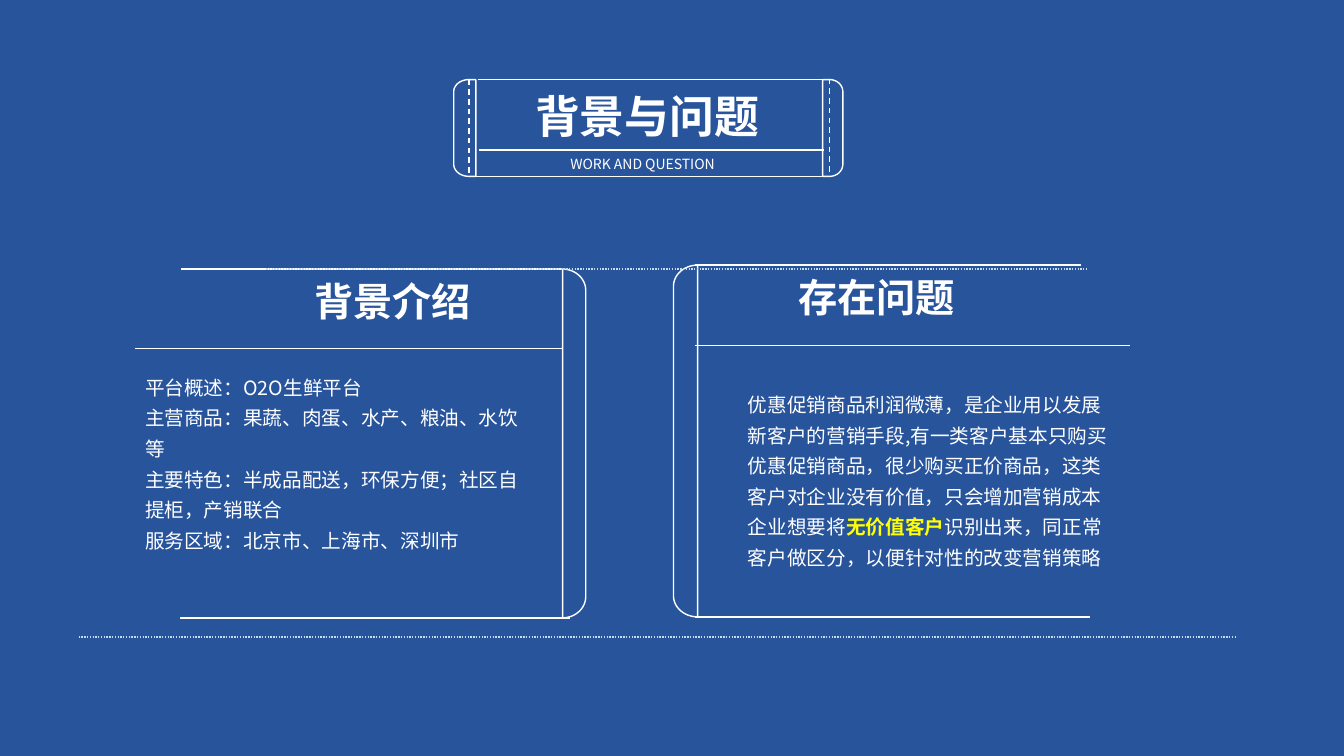
from dataclasses import dataclass
from math import cos, pi, sin

from lxml.etree import SubElement
from pptx import Presentation
from pptx.dml.color import RGBColor as Rgb
from pptx.enum.dml import MSO_LINE_DASH_STYLE as Dash
from pptx.enum.shapes import MSO_CONNECTOR_TYPE as Connector
from pptx.enum.text import MSO_AUTO_SIZE as AutoSize
from pptx.oxml.ns import qn
from pptx.slide import Slide
from pptx.util import Inches, Pt

COLORS = {"blue": "28549C", "white": "FFFFFF", "pale": "C6DCF0", "yellow": "FFFF00"}
FONT = "Noto Sans CJK SC"


@dataclass(frozen=True)
class Rule:
    x1: float
    x2: float
    y1: float
    y2: float
    color: str = "white"
    dash: Dash | None = None


@dataclass(frozen=True)
class ScrollEnd:
    outer: float
    shoulder: float
    inner: float
    top: float
    bottom: float
    drop: float


@dataclass(frozen=True)
class Span:
    text: str
    color: str = "white"
    bold: bool = False


@dataclass(frozen=True)
class Panel:
    heading: str
    heading_box: tuple[float, float, float, float]
    body: tuple[tuple[Span, ...], ...]
    body_box: tuple[float, float, float, float]
    rules: tuple[Rule, ...]
    end: ScrollEnd


PANELS = (
    Panel(
        "背景介绍", (3.02, 2.7, 1.93, 0.57),
        (
            (Span("平台概述：O2O生鲜平台"),),
            (Span("主营商品：果蔬、肉蛋、水产、粮油、水饮等"),),
            (Span("主要特色：半成品配送，环保方便；社区自提柜，产销联合"),),
            (Span("服务区域：北京市、上海市、深圳市"),),
        ),
        (1.34, 3.61, 4.09, 1.63),
        (Rule(1.8, 5.57, 2.67, 2.67), Rule(1.34, 5.58, 3.46, 3.46), Rule(1.79, 5.65, 6.13, 6.13)),
        ScrollEnd(5.81, 5.58, 5.58, 2.67, 6.13, 0.21),
    ),
    Panel(
        "存在问题", (7.82, 2.66, 1.99, 0.57),
        (
            (Span("优惠促销商品利润微薄，是企业用以发展新客户的营销手段,有一类客户基本只购买"
                  "优惠促销商品，很少购买正价商品，这类客户对企业没有价值，只会增加营销成本"),),
            (Span("企业想要将"), Span("无价值客户", "yellow", True),
             Span("识别出来，同正常客户做区分，以便针对性的改变营销策略")),
        ),
        (7.32, 3.78, 3.89, 1.93),
        (Rule(6.89, 10.72, 2.63, 2.63), Rule(6.89, 11.21, 3.43, 3.43), Rule(6.89, 10.81, 6.12, 6.12)),
        ScrollEnd(6.68, 6.92, 6.92, 2.63, 6.12, 0.21),
    ),
)
BANNER_ENDS = (
    ScrollEnd(4.5, 4.65, 4.72, 0.79, 1.75, 0.12),
    ScrollEnd(8.36, 8.23, 8.16, 0.79, 1.75, 0.12),
)
BANNER_RULES = (
    Rule(4.74, 8.16, 0.79, 0.79),
    Rule(4.75, 8.17, 1.49, 1.49),
    Rule(4.72, 8.15, 1.75, 1.75),
    Rule(4.65, 4.65, 0.79, 1.75, dash=Dash.DASH),
    Rule(8.23, 8.23, 0.78, 1.74, dash=Dash.DASH),
)
DOTTED_RULES = (
    Rule(2.64, 10.78, 2.67, 2.67, "pale", Dash.ROUND_DOT),
    Rule(0.78, 12.26, 6.32, 6.32, "pale", Dash.ROUND_DOT),
)


def rgb(name: str) -> Rgb:
    return Rgb.from_string(COLORS[name])


def draw_rule(slide: Slide, rule: Rule) -> None:
    stroke = slide.shapes.add_connector(
        Connector.STRAIGHT, Inches(rule.x1), Inches(rule.y1), Inches(rule.x2), Inches(rule.y2)
    )
    stroke.line.color.rgb = rgb(rule.color)
    stroke.line.width = Pt(1)
    if rule.dash is not None:
        stroke.line.dash_style = rule.dash
    SubElement(stroke._element.spPr, qn("a:effectLst"))


def draw_scroll_end(slide: Slide, end: ScrollEnd, steps: int = 12) -> None:
    reach = end.outer - end.shoulder
    angles = [pi / 2 * step / steps for step in range(steps + 1)]
    arc = [(end.shoulder + reach * cos(a), end.drop * (1 - sin(a))) for a in angles]
    outline = [(x, end.top + dy) for x, dy in arc]
    outline += [(end.inner, end.top), (end.inner, end.bottom)]
    outline += [(x, end.bottom - dy) for x, dy in reversed(arc)]
    points = [(Inches(x), Inches(y)) for x, y in outline]
    builder = slide.shapes.build_freeform(*points[0])
    builder.add_line_segments(points[1:], close=True)
    cap = builder.convert_to_shape()
    cap.shadow.inherit = False
    cap.fill.background()
    cap.line.color.rgb = rgb("white")
    cap.line.width = Pt(1)


def draw_text(
    slide: Slide,
    paragraphs: tuple[tuple[Span, ...], ...],
    box: tuple[float, float, float, float],
    *,
    size: float,
    wrap: bool = True,
    spacing: float = 1.0,
) -> None:
    frame = slide.shapes.add_textbox(*(Inches(v) for v in box)).text_frame
    frame.word_wrap = wrap
    frame.auto_size = AutoSize.SHAPE_TO_FIT_TEXT
    for index, spans in enumerate(paragraphs):
        paragraph = frame.paragraphs[0] if index == 0 else frame.add_paragraph()
        paragraph.line_spacing = spacing
        for span in spans:
            run = paragraph.add_run()
            run.text = span.text
            run.font.size = Pt(size)
            run.font.bold = span.bold
            run.font.color.rgb = rgb(span.color)
            run.font.name = FONT
            SubElement(run._r.get_or_add_rPr(), qn("a:ea"), typeface=FONT)


def draw_panel(slide: Slide, panel: Panel) -> None:
    for rule in panel.rules:
        draw_rule(slide, rule)
    draw_text(slide, ((Span(panel.heading, bold=True),),), panel.heading_box, size=28)
    draw_text(slide, panel.body, panel.body_box, size=14, spacing=1.3)
    draw_scroll_end(slide, panel.end)


def draw_banner(slide: Slide) -> None:
    for end in BANNER_ENDS:
        draw_scroll_end(slide, end)
    for rule in BANNER_RULES:
        draw_rule(slide, rule)
    draw_text(slide, ((Span("背景与问题", bold=True),),), (5.21, 0.83, 2.6, 0.64), size=32)
    draw_text(slide, ((Span("WORK AND QUESTION"),),), (5.56, 1.49, 1.77, 0.27), size=10, wrap=False)


def main() -> None:
    """Build the background-and-problem slide and save it."""
    deck = Presentation()
    deck.slide_width, deck.slide_height = Inches(13.33), Inches(7.5)
    slide = deck.slides.add_slide(deck.slide_layouts[6])
    slide.background.fill.solid()
    slide.background.fill.fore_color.rgb = rgb("blue")
    for panel in PANELS:
        draw_panel(slide, panel)
    draw_banner(slide)
    for rule in DOTTED_RULES:
        draw_rule(slide, rule)
    deck.save("out.pptx")


if __name__ == "__main__":
    main()
